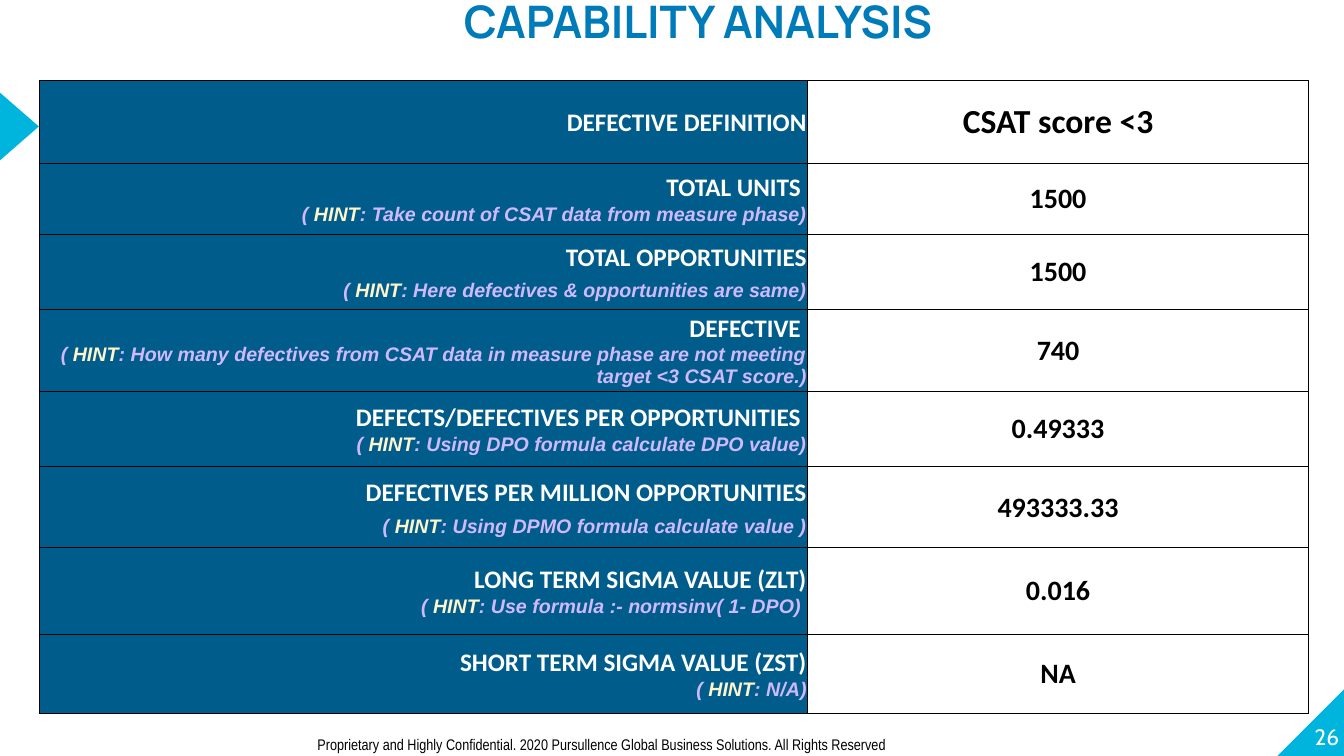
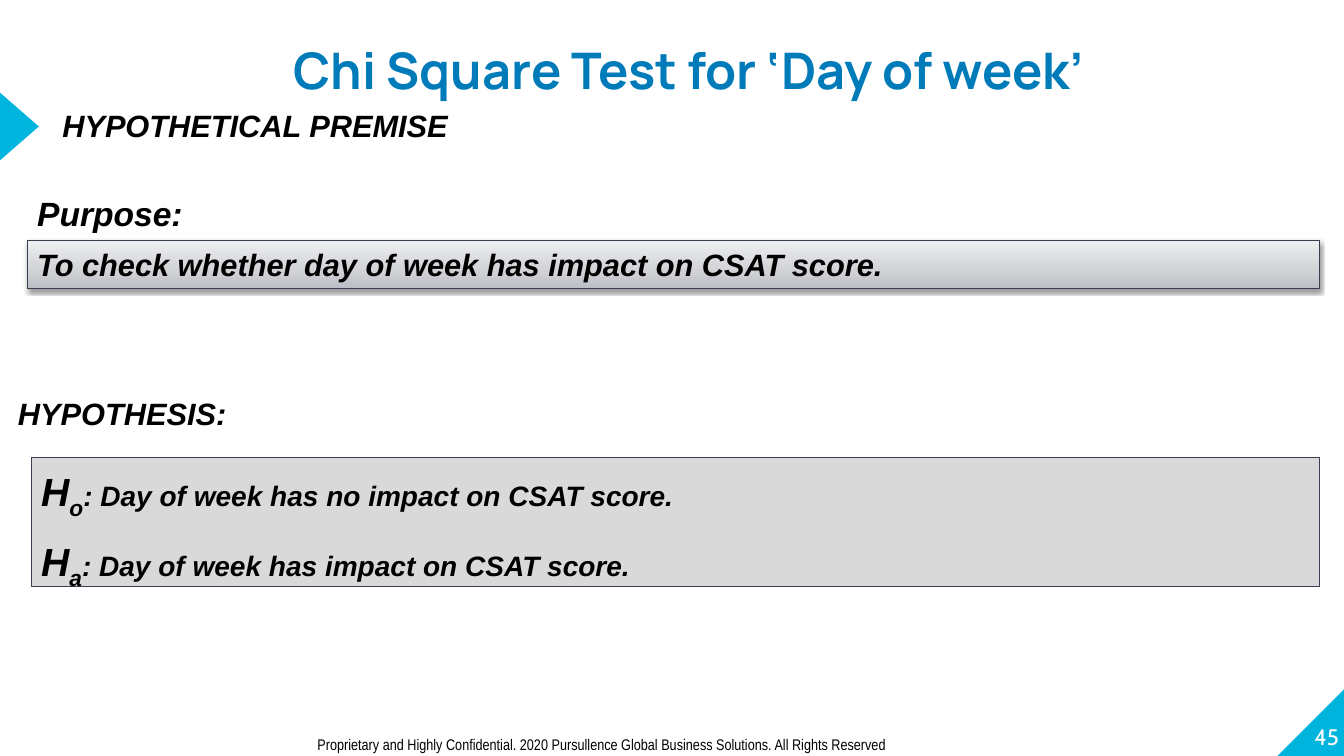
from lxml import etree
from pptx import Presentation
from pptx.dml.color import RGBColor
from pptx.enum.shapes import MSO_SHAPE
from pptx.enum.text import MSO_ANCHOR, PP_ALIGN
from pptx.oxml import parse_xml
from pptx.oxml.ns import nsdecls, qn
from pptx.util import Inches, Pt

LEFT, CENTER, RIGHT = PP_ALIGN.LEFT, PP_ALIGN.CENTER, PP_ALIGN.RIGHT
TOP, MIDDLE, BOTTOM = MSO_ANCHOR.TOP, MSO_ANCHOR.MIDDLE, MSO_ANCHOR.BOTTOM
RECTANGLE = MSO_SHAPE.RECTANGLE
CORNER_TRIANGLE, POINTER = MSO_SHAPE.RIGHT_TRIANGLE, MSO_SHAPE.ISOSCELES_TRIANGLE

CYAN, TITLE_BLUE, DEEP_BLUE = "00B5DD", "007BB9", "005C8B"
BLACK, WHITE, GREY = "000000", "FFFFFF", "D9D9D9"
HINT_LILAC, HINT_CREAM = "D1B9FF", "FEF5CD"
SLATE = "3A3F50"
SILVER_STOPS = [(0, "BCBEC5"), (35, "D0D2D6"), (100, "EDEEF0")]

FOOTER = ("Proprietary and Highly Confidential. 2020 Pursullence Global "
          "Business Solutions. All Rights Reserved")
TEXT_INSET = (0.1, 0.05)

# label, hint, value, row height, gap above the hint in points
CAPABILITY_ROWS = [
    ("DEFECTIVE DEFINITION", None, "CSAT score <3", 0.82, 0),
    ("TOTAL UNITS ", ": Take count of CSAT data from measure phase)", "1500", 0.7, 0),
    ("TOTAL OPPORTUNITIES", ": Here defectives & opportunities are same)", "1500", 0.75, 5),
    ("DEFECTIVE ", ": How many defectives from CSAT data in measure phase are not "
     "meeting target <3 CSAT score.)", "740", 0.81, 0),
    ("DEFECTS/DEFECTIVES PER OPPORTUNITIES ", ": Using DPO formula calculate DPO value)",
     "0.49333", 0.75, 0),
    ("DEFECTIVES PER MILLION OPPORTUNITIES", ": Using DPMO formula calculate value )",
     "493333.33", 0.8, 5),
    ("LONG TERM SIGMA VALUE (ZLT)", ": Use formula :- normsinv( 1- DPO) ", "0.016", 0.86, 0),
    ("SHORT TERM SIGMA VALUE (ZST)", ": N/A)", "NA", 0.79, 0),
]
HYPOTHESES = [("o", ": Day of week has no impact on CSAT score."),
              ("a", ": Day of week has impact on CSAT score.")]


def rgb(hex_color):
    return RGBColor.from_string(hex_color)


def style(font, size, name, color, bold=False, italic=False):
    font.size, font.name = Pt(size), name
    font.bold, font.italic = bold, italic
    font.color.rgb = rgb(color)


def set_frame(frame, inset, anchor=TOP, wrap=True):
    frame.margin_left = frame.margin_right = Inches(inset[0])
    frame.margin_top = frame.margin_bottom = Inches(inset[1])
    frame.vertical_anchor, frame.word_wrap = anchor, wrap


def add_text(slide, box, text, size, name, color, bold=False, italic=False,
             align=LEFT, anchor=TOP, inset=TEXT_INSET, wrap=True):
    """Add a one-paragraph text box and return its paragraph."""
    frame = slide.shapes.add_textbox(*map(Inches, box)).text_frame
    set_frame(frame, inset, anchor, wrap)
    paragraph = frame.paragraphs[0]
    paragraph.text, paragraph.alignment = text, align
    style(paragraph.font, size, name, color, bold, italic)
    return paragraph


def add_plain_shape(slide, kind, box, fill, line=None, rotation=0):
    shape = slide.shapes.add_shape(kind, *map(Inches, box))
    shape.shadow.inherit = False
    shape.rotation = rotation
    shape.fill.solid()
    shape.fill.fore_color.rgb = rgb(fill)
    if line:
        shape.line.color.rgb = rgb(line)
        shape.line.width = Pt(0.75)
    else:
        shape.line.fill.background()
    return shape


def start_slide(prs, number, title, title_box, title_size, line_spacing, anchor):
    """Add a slide with the corner, pointer, title, footer and page number."""
    slide = prs.slides.add_slide(prs.slide_layouts[6])
    add_plain_shape(slide, CORNER_TRIANGLE, (12.67, 6.82, 0.68, 0.68), CYAN, rotation=270)
    add_plain_shape(slide, POINTER, (-0.15, 1.06, 0.68, 0.39), CYAN, rotation=90)
    heading = add_text(slide, title_box, title, title_size, "Manrope", TITLE_BLUE,
                       bold=True, align=CENTER, anchor=anchor, inset=(0, 0))
    heading.line_spacing = line_spacing
    add_text(slide, (3.05, 7.24, 8.51, 0.29), FOOTER, 11, "Arial Narrow", BLACK)
    add_text(slide, (12.61, 6.76, 0.67, 0.68), number, 16, "Cabin", WHITE,
             align=RIGHT, anchor=BOTTOM, inset=(0, 0))
    return slide


def format_cell(cell, fill=None):
    """Give a cell thin black borders, narrow margins and its fill."""
    properties = cell._tc.get_or_add_tcPr()
    for side in ("lnL", "lnR", "lnT", "lnB"):
        properties.append(parse_xml(
            f'<a:{side} {nsdecls("a")} w="6350"><a:solidFill>'
            f'<a:srgbClr val="{BLACK}"/></a:solidFill></a:{side}>'))
    if fill:
        cell.fill.solid()
        cell.fill.fore_color.rgb = rgb(fill)
    else:
        cell.fill.background()
    cell.margin_left = cell.margin_right = cell.margin_top = Inches(0.01)
    cell.margin_bottom = 0
    cell.vertical_anchor = MIDDLE


def add_hint(cell, hint, gap):
    paragraph = cell.text_frame.add_paragraph()
    paragraph.alignment = RIGHT
    paragraph.space_before = Pt(gap)
    style(paragraph.font, 14, "Arial", HINT_LILAC, bold=True, italic=True)
    for text, color in (("( ", HINT_LILAC), ("HINT", HINT_CREAM), (hint, HINT_LILAC)):
        run = paragraph.add_run()
        run.text = text
        run.font.color.rgb = rgb(color)


def add_capability_table(slide, left, top, widths):
    heights = [row[3] for row in CAPABILITY_ROWS]
    table = slide.shapes.add_table(
        len(heights), len(widths), Inches(left), Inches(top),
        Inches(sum(widths)), Inches(sum(heights))).table
    table.first_row = table.horz_banding = False
    for column, width in zip(table.columns, widths):
        column.width = Inches(width)
    for index, (label, hint, value, height, gap) in enumerate(CAPABILITY_ROWS):
        table.rows[index].height = Inches(height)
        label_cell, value_cell = table.cell(index, 0), table.cell(index, 1)
        value_size = 20 if hint else 24
        for cell, text, size, color, align, fill in (
                (label_cell, label, 18, WHITE, RIGHT, DEEP_BLUE),
                (value_cell, value, value_size, BLACK, CENTER, None)):
            format_cell(cell, fill)
            paragraph = cell.text_frame.paragraphs[0]
            paragraph.text, paragraph.alignment = text, align
            style(paragraph.font, size, "Calibri", color, bold=True)
        if hint:
            add_hint(label_cell, hint, gap)


def add_section_label(slide, box, text, size=22, wrap=True):
    add_text(slide, box, text, size, "Arial", BLACK, bold=True, italic=True, wrap=wrap)


def add_purpose_bar(slide, box, text):
    """Add the silver gradient bar with a soft shadow below it."""
    bar = add_plain_shape(slide, RECTANGLE, box, GREY, SLATE)
    bar.fill.gradient()
    bar.fill.gradient_angle = 90
    properties = bar._element.spPr
    stops = properties.find(".//" + qn("a:gsLst"))
    for stop in list(stops):
        stops.remove(stop)
    for position, color in SILVER_STOPS:
        stop = etree.SubElement(stops, qn("a:gs"), pos=str(position * 1000))
        etree.SubElement(stop, qn("a:srgbClr"), val=color)
    properties.find(qn("a:effectLst")).append(parse_xml(
        f'<a:outerShdw {nsdecls("a")} blurRad="{Pt(3.1)}" dist="{Pt(1.6)}" '
        f'dir="5400000" rotWithShape="0"><a:srgbClr val="{BLACK}">'
        '<a:alpha val="38000"/></a:srgbClr></a:outerShdw>'))
    set_frame(bar.text_frame, TEXT_INSET)
    paragraph = bar.text_frame.paragraphs[0]
    paragraph.text, paragraph.alignment = text, LEFT
    style(paragraph.font, 22, "Arial", BLACK, bold=True, italic=True)


def add_hypotheses(slide, box):
    panel = add_plain_shape(slide, RECTANGLE, box, GREY, SLATE)
    frame = panel.text_frame
    set_frame(frame, (0.1, 0.07))
    for index, (subscript, statement) in enumerate(HYPOTHESES):
        paragraph = frame.add_paragraph() if index else frame.paragraphs[0]
        paragraph.alignment = LEFT
        paragraph.line_spacing = 1.05
        if index:
            paragraph.space_before = Pt(10)
        style(paragraph.font, 28, "Arial", BLACK, bold=True, italic=True)
        symbol, mark, claim = (paragraph.add_run() for _ in range(3))
        symbol.text, mark.text, claim.text = "H", subscript, statement
        mark._r.get_or_add_rPr().set("baseline", "-25000")
        claim.font.size = Pt(20)


def build_capability_slide(prs):
    slide = start_slide(prs, "26", "CAPABILITY ANALYSIS", (4.03, 0.04, 5.79, 0.69),
                        32, 0.8, TOP)
    add_capability_table(slide, 0.39, 0.8, (7.62, 4.97))


def build_chi_square_slide(prs):
    slide = start_slide(prs, "45", "Chi Square Test for ‘Day of week’",
                        (1.98, 0.27, 9.71, 0.54), 36, 1.5, MIDDLE)
    add_section_label(slide, (0.52, 1.01, 5.33, 0.47), "HYPOTHETICAL PREMISE")
    add_section_label(slide, (0.27, 1.86, 1.66, 0.5), "Purpose:", size=24, wrap=False)
    add_purpose_bar(slide, (0.27, 2.39, 12.82, 0.47),
                    "To check whether day of week has impact on CSAT score.")
    add_section_label(slide, (0.08, 3.87, 5.33, 0.47), "HYPOTHESIS:")
    add_hypotheses(slide, (0.31, 4.54, 12.78, 1.28))


def main():
    prs = Presentation()
    prs.slide_width, prs.slide_height = Inches(13.33), Inches(7.5)
    build_capability_slide(prs)
    build_chi_square_slide(prs)
    prs.save("out.pptx")


if __name__ == "__main__":
    main()
